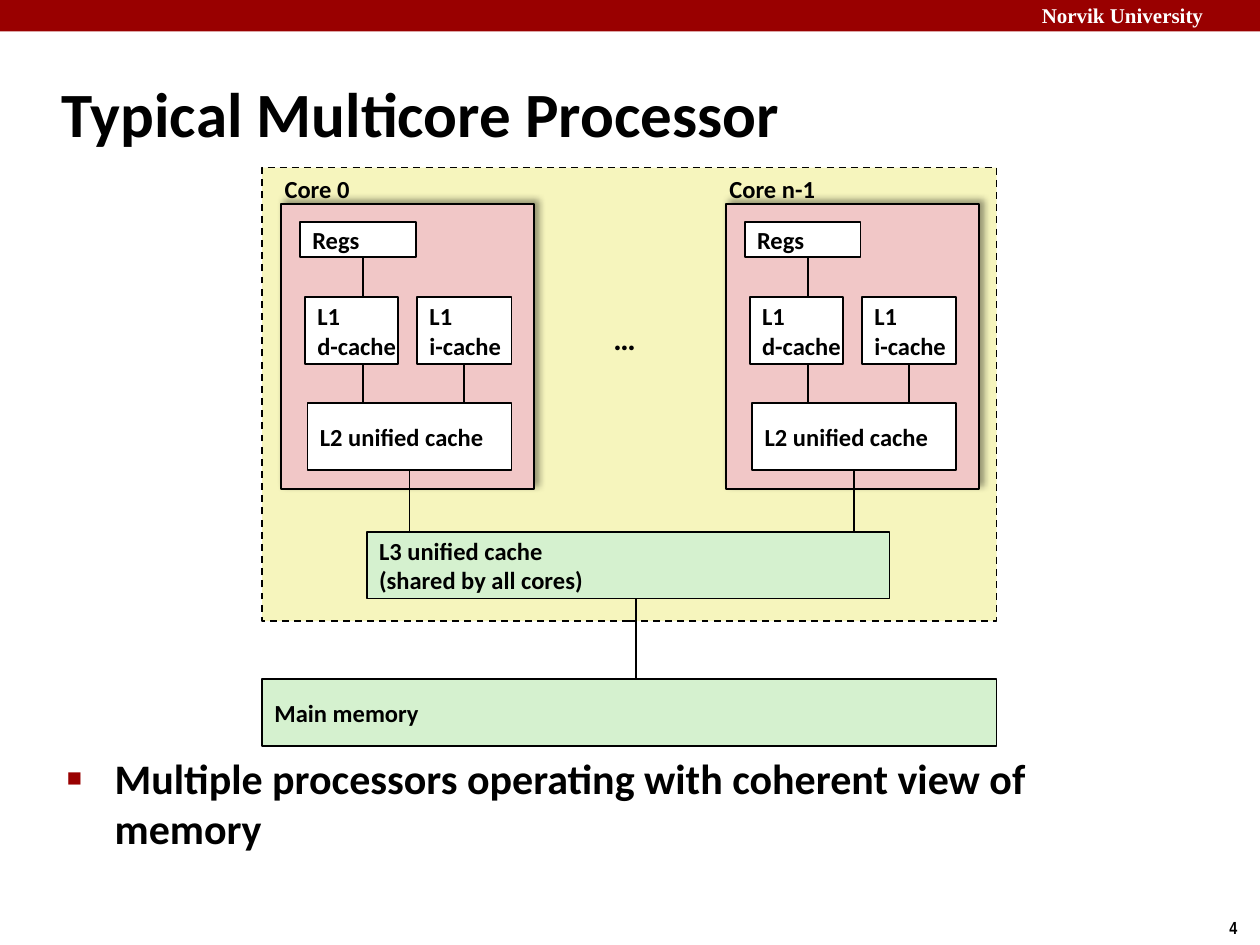
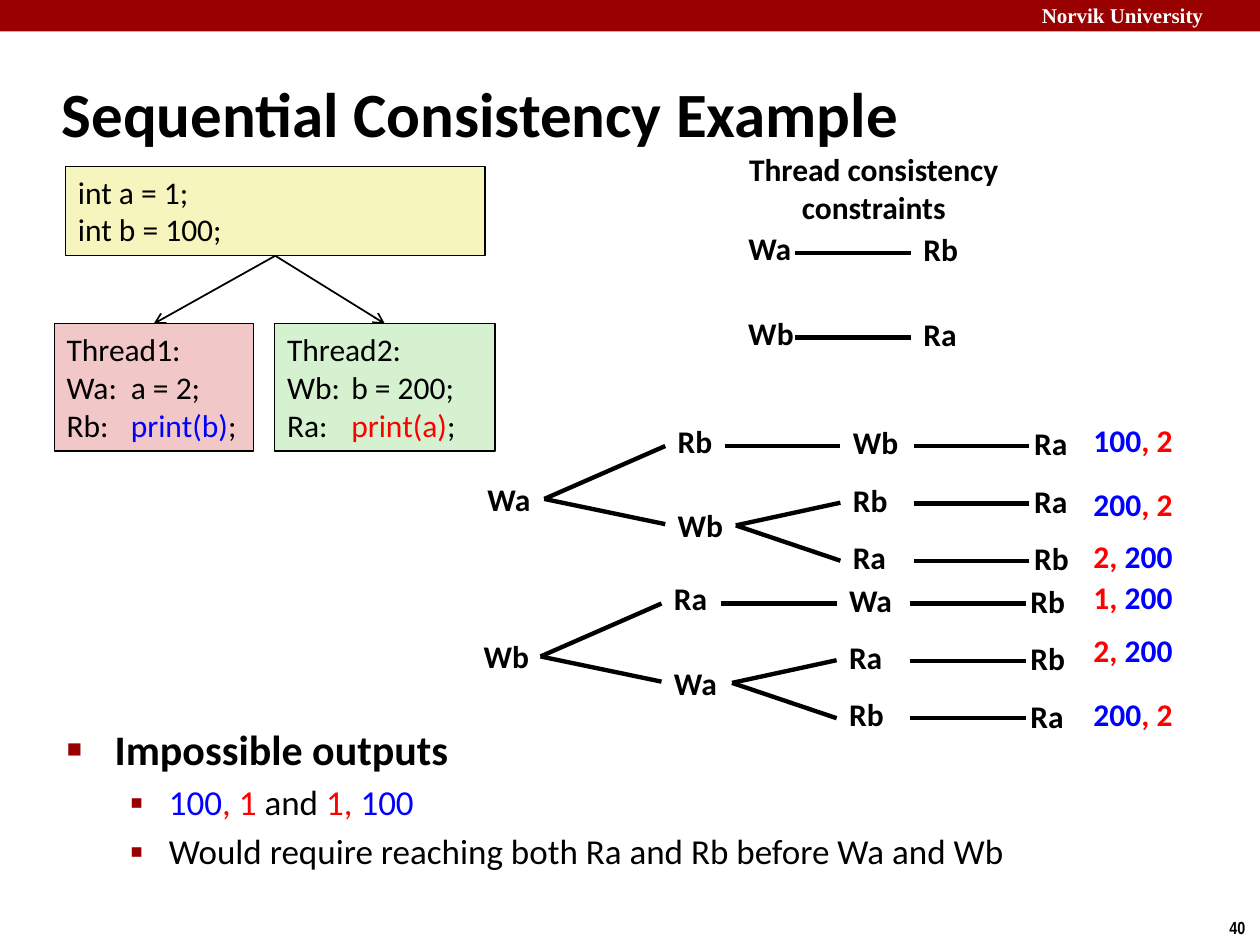
import dataclasses
import typing

import lxml.etree
import pptx
import pptx.dml.color
import pptx.enum.dml
import pptx.enum.shapes
import pptx.enum.text
import pptx.oxml.ns
import pptx.util

Inches = pptx.util.Inches
Pt = pptx.util.Pt
ANCHOR = pptx.enum.text.MSO_ANCHOR
ALIGN = pptx.enum.text.PP_ALIGN
FIT = pptx.enum.text.MSO_AUTO_SIZE

BLACK, WHITE, CRIMSON = "000000", "FFFFFF", "990000"
YELLOW, PINK, GREEN = "F6F5BD", "F1C7C7", "D5F1CF"
BLUE, RED = "0000FF", "FF0000"


class Span(typing.NamedTuple):
    text: str
    color: str = BLACK


Paragraph = tuple[Span, ...]


class Area(typing.NamedTuple):
    left: float
    top: float
    width: float
    height: float

    def shifted(self, dx: float) -> "Area":
        return self._replace(left=self.left + dx)

    def lengths(self) -> list[int]:
        return [Inches(value) for value in self]


@dataclasses.dataclass(frozen=True)
class Style:
    size: float = 14
    bold: bool = True
    font: str = "Calibri"
    align: typing.Any = ALIGN.LEFT
    tab: float = 0


@dataclasses.dataclass(frozen=True)
class Box:
    area: Area
    fill: str
    label: str = ""
    wrap: bool = True
    outline: float = 1
    dashed: bool = False
    shadow: bool = False


@dataclasses.dataclass(frozen=True)
class Bullet:
    char: str
    percent: int
    size: int
    bold: bool
    margin: float
    hang: float


@dataclasses.dataclass(frozen=True)
class Tree:
    dx: float
    dy: float
    root: str
    first: str
    second: str
    thirds: tuple[str, ...]
    lasts: tuple[str, ...]


SMALL = Style()
LARGE = Style(18)
CODE = Style(18, bold=False, tab=0.51)
BULLETS = (Bullet("■", 60, 24, True, 0.38, 0.38), Bullet("▪", 110, 20, False, 0.81, 0.31))
LABEL_WIDTHS = {"Wa": 0.55, "Wb": 0.57, "Ra": 0.47, "Rb": 0.48}


def rgb(color: str) -> pptx.dml.color.RGBColor:
    return pptx.dml.color.RGBColor.from_string(color)


def apply(target: typing.Any, formats: dict[str, typing.Any]) -> None:
    for name, value in formats.items():
        setattr(target, name, value)


def add_xml(parent: typing.Any, tag: str, **attributes: typing.Any) -> typing.Any:
    values = {key: str(value) for key, value in attributes.items()}
    return lxml.etree.SubElement(parent, pptx.oxml.ns.qn(tag), values)


def plain(text: str) -> list[Paragraph]:
    return [(Span(line),) for line in text.split("\n")]


def write_spans(paragraph: typing.Any, spans: Paragraph, style: Style) -> None:
    paragraph.alignment = style.align
    for span in spans:
        run = paragraph.add_run()
        run.text = span.text
        apply(run.font, {"size": Pt(style.size), "bold": style.bold, "name": style.font})
        run.font.color.rgb = rgb(span.color)


def write(frame: typing.Any, paragraphs: list[Paragraph], style: Style) -> None:
    for index, spans in enumerate(paragraphs):
        paragraph = frame.add_paragraph() if index else frame.paragraphs[0]
        write_spans(paragraph, spans, style)
        if style.tab:
            stops = add_xml(paragraph._p.get_or_add_pPr(), "a:tabLst")
            add_xml(stops, "a:tab", pos=Inches(style.tab), algn="l")


def add_label(slide: typing.Any, area: Area, paragraphs: list[Paragraph],
              style: Style = LARGE, wrap: bool = False) -> None:
    frame = slide.shapes.add_textbox(*area.lengths()).text_frame
    apply(frame, {"word_wrap": wrap, "auto_size": FIT.SHAPE_TO_FIT_TEXT})
    write(frame, paragraphs, style)


def add_box(slide: typing.Any, box: Box, paragraphs: list[Paragraph] | None = None,
            style: Style = SMALL, anchor: typing.Any = ANCHOR.MIDDLE) -> typing.Any:
    shape = slide.shapes.add_shape(pptx.enum.shapes.MSO_SHAPE.RECTANGLE, *box.area.lengths())
    shape.shadow.inherit = False
    shape.fill.solid()
    shape.fill.fore_color.rgb = rgb(box.fill)
    if box.outline:
        shape.line.color.rgb = rgb(BLACK)
        shape.line.width = Pt(box.outline)
    else:
        shape.line.fill.background()
    if box.dashed:
        shape.line.dash_style = pptx.enum.dml.MSO_LINE.DASH
    if box.shadow:
        effects = shape._element.spPr.find(pptx.oxml.ns.qn("a:effectLst"))
        cast = add_xml(effects, "a:outerShdw", blurRad=Pt(4), dist=Pt(3), dir=315 * 60000,
                       algn="bl", rotWithShape=0)
        add_xml(add_xml(cast, "a:srgbClr", val=BLACK), "a:alpha", val=40000)
    if paragraphs or box.label:
        apply(shape.text_frame, {"word_wrap": box.wrap, "vertical_anchor": anchor})
        write(shape.text_frame, paragraphs or plain(box.label), style)
    return shape


def add_line(slide: typing.Any, x1: float, y1: float, x2: float, y2: float,
             width: float = 1, arrow: bool = False) -> typing.Any:
    line = slide.shapes.add_connector(pptx.enum.shapes.MSO_CONNECTOR.STRAIGHT,
                                      *(Inches(value) for value in (x1, y1, x2, y2)))
    line.line.color.rgb = rgb(BLACK)
    line.line.width = Pt(width)
    properties = line._element.spPr
    if arrow:
        add_xml(properties.find(pptx.oxml.ns.qn("a:ln")), "a:tailEnd", type="arrow")
    add_xml(properties, "a:effectLst")
    return line


def add_base(deck: typing.Any, title: str, number: int, body_area: Area,
             items: list[tuple[int, Paragraph]]) -> typing.Any:
    slide = deck.slides.add_slide(deck.slide_layouts[1])
    heading, body = slide.placeholders
    for holder, area in ((heading, Area(0.39, 0.48, 8.3, 0.83)), (body, body_area)):
        apply(holder, dict(zip(("left", "top", "width", "height"), area.lengths())))
        apply(holder.text_frame, {"auto_size": FIT.NONE, "word_wrap": True})
    heading.text_frame.vertical_anchor = ANCHOR.MIDDLE
    write(heading.text_frame, plain(title), Style(36))
    apply_indent(heading.text_frame.paragraphs[0], 0.13, 0.13)

    for index, (level, spans) in enumerate(items):
        bullet = BULLETS[level]
        frame = body.text_frame
        paragraph = frame.add_paragraph() if index else frame.paragraphs[0]
        paragraph.level = level
        write_spans(paragraph, spans, Style(bullet.size, bullet.bold))
        properties = apply_indent(paragraph, bullet.margin, bullet.hang)
        add_xml(add_xml(properties, "a:buClr"), "a:srgbClr", val=CRIMSON)
        add_xml(properties, "a:buSzPct", val=bullet.percent * 1000)
        add_xml(properties, "a:buChar", char=bullet.char)

    add_box(slide, Box(Area(0, 0, 10, 0.25), CRIMSON, outline=0))
    add_label(slide, Area(8.17, -0.03, 1.9, 0.3), [(Span("Norvik University", WHITE),)],
              Style(12, font="Times New Roman"), wrap=True)
    add_label(slide, Area(9.66, 7.23, 0.34, 0.27), plain(str(number)),
              Style(10, font="Arial Narrow"))
    return slide


def apply_indent(paragraph: typing.Any, margin: float, hang: float) -> typing.Any:
    properties = paragraph._p.get_or_add_pPr()
    properties.set("marL", str(Inches(margin)))
    properties.set("indent", str(-Inches(hang)))
    return properties


def add_core(slide: typing.Any, name: str, name_width: float, dx: float) -> None:
    add_box(slide, Box(Area(2.23, 1.62, 2.01, 2.26).shifted(dx), PINK, shadow=True))
    add_label(slide, Area(2.16, 1.33, name_width, 0.34).shifted(dx), plain(name), SMALL)
    parts = (
        Box(Area(2.38, 1.76, 0.92, 0.28), WHITE, "Regs", wrap=False),
        Box(Area(2.42, 2.36, 0.74, 0.53), WHITE, "L1\nd-cache", wrap=False),
        Box(Area(3.31, 2.36, 0.75, 0.53), WHITE, "L1\ni-cache", wrap=False),
        Box(Area(2.44, 3.2, 1.62, 0.53), WHITE, "L2 unified cache"),
    )
    regs, data_cache, code_cache, l2_cache = [
        add_box(slide, dataclasses.replace(part, area=part.area.shifted(dx))) for part in parts]
    for top, bottom in ((2.04, 2.36), (2.89, 3.2)):
        add_line(slide, 2.88 + dx, top, 2.88 + dx, bottom)
    for cache, x, top, bottom in ((code_cache, 3.685, 2.89, 3.2), (l2_cache, 3.25, 3.73, 4.22)):
        add_line(slide, x + dx, top, x + dx, bottom).begin_connect(cache, 2)


def build_multicore(deck: typing.Any) -> None:
    slide = add_base(deck, "Typical Multicore Processor", 4, Area(0.43, 5.92, 8.64, 1.01),
                     [(0, (Span("Multiple processors operating with coherent view of memory"),))])
    add_box(slide, Box(Area(2.08, 1.33, 5.83, 3.6), YELLOW, dashed=True))
    add_core(slide, "Core 0", 0.72, 0)
    add_core(slide, "Core n-1", 0.89, 3.53)
    add_label(slide, Area(4.77, 2.48, 0.38, 0.4), plain("…"))
    add_box(slide, Box(Area(2.91, 4.22, 4.15, 0.53), GREEN,
                       "L3 unified cache\n(shared by all cores)"))
    add_box(slide, Box(Area(2.08, 5.39, 5.83, 0.53), GREEN, "Main memory"))
    add_line(slide, 5.05, 4.75, 5.05, 5.39)


def add_step(slide: typing.Any, name: str, left: float, top: float) -> None:
    add_label(slide, Area(left, top, LABEL_WIDTHS[name], 0.4), plain(name))


def add_tree(slide: typing.Any, tree: Tree) -> None:
    rows = [3.31 + 0.455 * row for row in range(3)]
    steps = [(tree.root, 3.77, 3.76), (tree.first, 5.28, 3.3), (tree.second, 5.28, 3.97)]
    steps += [(name, 6.67, top) for name, top in zip(tree.thirds, rows)]
    steps += [(name, 8.11, top + 0.01) for name, top in zip(tree.lasts, rows)]
    for name, left, top in steps:
        add_step(slide, name, left + tree.dx, top + tree.dy)
    links = [(4.32, 3.96, 5.28, 3.54), (4.32, 3.96, 5.28, 4.16), (5.75, 3.54, 6.67, 3.54),
             (5.84, 4.17, 6.67, 3.99), (5.84, 4.17, 6.67, 4.45)]
    links += [(7.25, top + 0.23, 8.17, top + 0.23) for top in rows]
    for x1, y1, x2, y2 in links:
        add_line(slide, x1 + tree.dx, y1 + tree.dy, x2 + tree.dx, y2 + tree.dy, 2.5)


def build_consistency(deck: typing.Any) -> None:
    impossible = (Span("100", BLUE), Span(", 1 ", RED), Span("and "), Span("1, ", RED),
                  Span("100", BLUE))
    slide = add_base(
        deck, "Sequential Consistency Example", 40, Area(0.43, 5.69, 8.64, 0.84),
        [(0, (Span("Impossible outputs"),)), (1, impossible),
         (1, (Span("Would require reaching both Ra and Rb before Wa and Wb"),))])

    add_tree(slide, Tree(0, 0, "Wa", "Rb", "Wb", ("Wb", "Rb", "Ra"), ("Ra", "Ra", "Rb")))
    add_tree(slide, Tree(-0.03, 1.25, "Wb", "Ra", "Wa", ("Wa", "Ra", "Rb"), ("Rb", "Rb", "Ra")))
    b_then_a = (Span("200", BLUE), Span(", 2", RED))
    a_then_b = (Span("2, ", RED), Span("200", BLUE))
    outputs = (
        (3.29, (Span("100", BLUE), Span(", 2", RED))),
        (3.8, b_then_a),
        (4.21, a_then_b),
        (4.54, (Span("1, ", RED), Span("200", BLUE))),
        (4.96, a_then_b),
        (5.47, b_then_a),
    )
    for top, output in outputs:
        add_label(slide, Area(8.58, top, 0.84, 0.4), [output])

    add_label(slide, Area(5.84, 1.14, 2.19, 0.71), plain("Thread consistency\nconstraints"),
              Style(18, align=ALIGN.CENTER))
    for before, after, top in (("Wa", "Rb", 1.77), ("Wb", "Ra", 2.44)):
        add_step(slide, before, 5.84, top)
        add_step(slide, after, 7.23, top + 0.01)
        add_line(slide, 6.31, top + 0.24, 7.23, top + 0.24, 2.5)

    shared = add_box(slide, Box(Area(0.52, 1.32, 3.33, 0.71), YELLOW, outline=0.75),
                     plain("int a = 1;\nint b = 100;"), CODE, ANCHOR.TOP)
    threads = (
        (Area(0.43, 2.57, 1.58, 1.01), PINK, "Thread1:\nWa:\ta = 2;", "Rb:\t", "print(b)", BLUE),
        (Area(2.18, 2.57, 1.75, 1.01), GREEN, "Thread2:\nWb:\tb = 200;", "Ra:\t", "print(a)", RED),
    )
    for area, fill, opening, step, call, color in threads:
        code = plain(opening) + [(Span(step), Span(call, color), Span(";"))]
        thread = add_box(slide, Box(area, fill, outline=0.75), code, CODE, ANCHOR.TOP)
        arrow = add_line(slide, 2.18, 2.03, area.left + area.width / 2, area.top, arrow=True)
        arrow.begin_connect(shared, 2)
        arrow.end_connect(thread, 0)


def main() -> None:
    deck = pptx.Presentation()
    apply(deck, {"slide_width": Inches(10), "slide_height": Inches(7.5)})
    build_multicore(deck)
    build_consistency(deck)
    deck.save("out.pptx")


if __name__ == "__main__":
    main()
